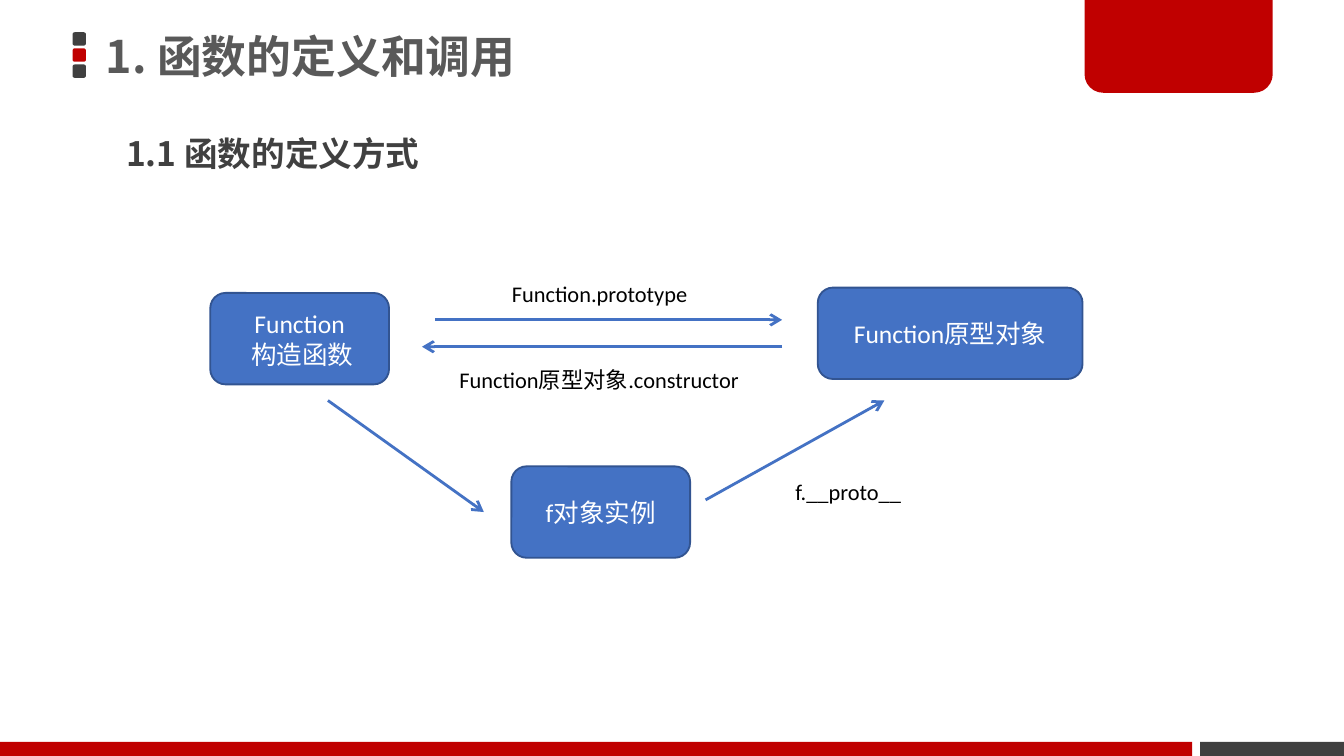
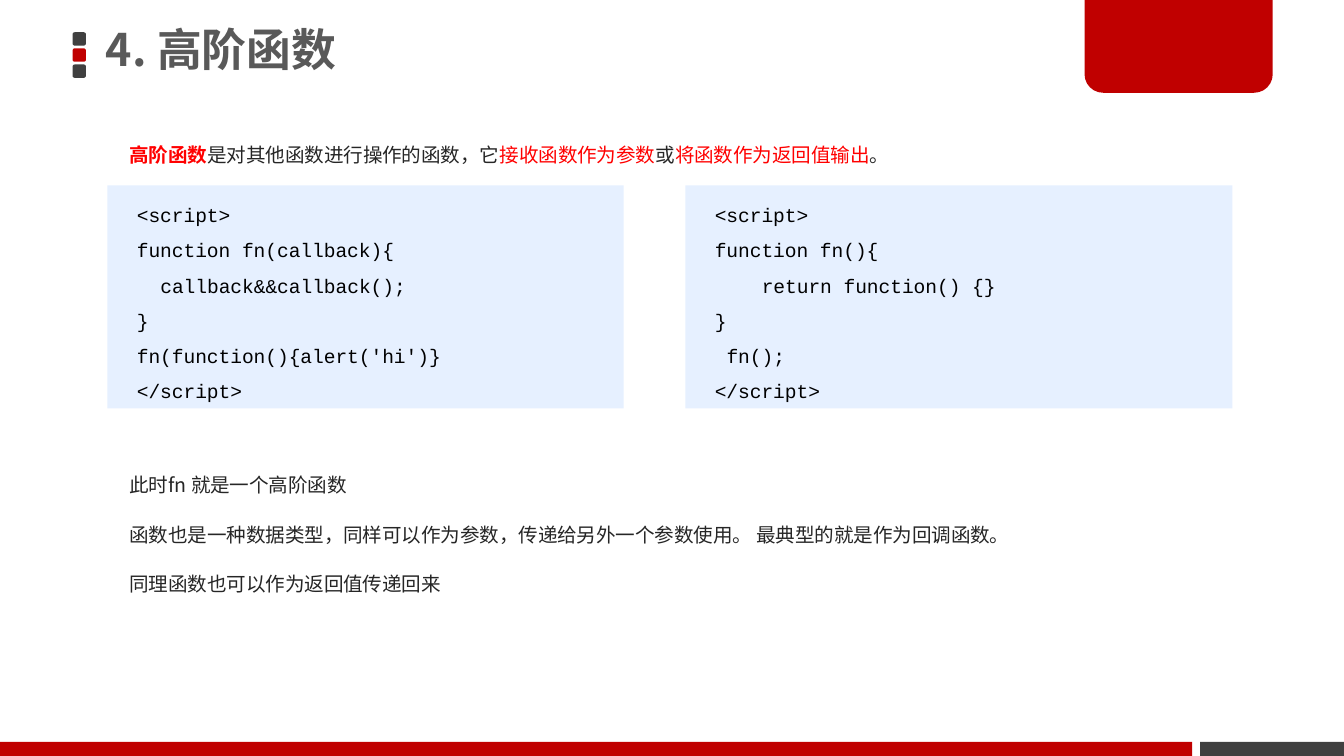
"""Build two slides on defining functions and on higher-order functions."""
from dataclasses import dataclass
from lxml.etree import SubElement
from pptx import Presentation
from pptx.dml.color import RGBColor
from pptx.enum.shapes import MSO_CONNECTOR, MSO_SHAPE
from pptx.enum.text import MSO_ANCHOR, PP_ALIGN
from pptx.oxml.ns import qn
from pptx.util import Inches, Pt


@dataclass(frozen=True)
class Theme:
    red: str = "C00000"
    dark: str = "404040"
    title: str = "595959"
    body: str = "262626"
    mark: str = "FF0000"
    blue: str = "4472C4"
    edge: str = "325491"
    pale: str = "E6F0FF"
    black: str = "000000"
    white: str = "FFFFFF"
    sans: str = "Noto Sans CJK SC"
    plain: str = "Calibri"
    mono: str = "Courier New"
    head: float = 24
    sub: float = 18
    node: float = 13.7
    label: float = 12
    text: float = 10.5


look = Theme()
deck = Presentation()
deck.slide_width = Inches(10)
deck.slide_height = deck.slide_width * 9 // 16
cell = deck.slide_width / 100


def draw(slide, kind, box, fill):
    """Add a filled preset shape at a box given in grid cells."""
    shape = slide.shapes.add_shape(kind, *[round(n * cell) for n in box])
    shape.shadow.inherit = False
    shape.fill.solid()
    shape.fill.fore_color.rgb = RGBColor.from_string(fill)
    shape.line.fill.background()
    return shape


def write(frame, lines, size, face, color, bold=False, lead=1, gap=0,
          align=PP_ALIGN.LEFT, anchor=MSO_ANCHOR.TOP, wrap=True):
    """Fill a text frame with evenly styled paragraphs."""
    frame.word_wrap, frame.vertical_anchor = wrap, anchor
    for i, line in enumerate(lines):
        para = frame.add_paragraph() if i else frame.paragraphs[0]
        para.text, para.alignment = line, align
        para.line_spacing, para.space_before = lead, Pt(gap)
        para.font.size, para.font.name, para.font.bold = Pt(size), face, bold
        para.font.color.rgb = RGBColor.from_string(color)


slides = []
for title, top in [("1. 函数的定义和调用", 0.6), ("4. 高阶函数", 0.1)]:
    slide = deck.slides.add_slide(deck.slide_layouts[6])
    for i, fill in enumerate([look.dark, look.red, look.dark]):
        draw(slide, MSO_SHAPE.ROUNDED_RECTANGLE, (5.4, 2.4 + 1.2 * i, 1, 1), fill)
    draw(slide, MSO_SHAPE.RECTANGLE, (89.3, 55.2, 10.7, 1.05), look.dark)
    tab = draw(slide, MSO_SHAPE.ROUND_2_SAME_RECTANGLE, (80.7, 0, 14, 6.9), look.red)
    tab.adjustments[0], tab.adjustments[1] = 0, 0.2
    draw(slide, MSO_SHAPE.RECTANGLE, (0, 55.2, 88.7, 1.05), look.red)
    area = slide.shapes.add_textbox(*[round(n * cell) for n in (6.9, top, 73.7, 7.5)])
    write(area.text_frame, [title], look.head, look.sans, look.title,
          bold=True, lead=0.9, anchor=MSO_ANCHOR.MIDDLE)
    slides.append(slide)
chain, order = slides

area = chain.shapes.add_textbox(*[round(n * cell) for n in (8.4, 9.75, 72.1, 5.9)])
write(area.text_frame, ["1.1 函数的定义方式"], look.sub, look.sans, look.dark,
      bold=True, lead=0.9, gap=7.5)

nodes = [
    (15.65, 21.8, 13.3, ["Function", " 构造函数"]),
    (38.05, 34.7, 13.3, ["f对象实例"]),
    (60.85, 21.4, 19.7, ["Function原型对象"]),
]
for left, top, width, lines in nodes:
    node = draw(chain, MSO_SHAPE.ROUNDED_RECTANGLE, (left, top, width, 6.8), look.blue)
    node.line.color.rgb = RGBColor.from_string(look.edge)
    node.line.width = Pt(1)
    write(node.text_frame, lines, look.node, look.plain, look.white,
          align=PP_ALIGN.CENTER, anchor=MSO_ANCHOR.MIDDLE)

links = [
    (24.4, 29.8, 36, 38.1),
    (52.5, 37.2, 65.8, 29.8),
    (32.4, 23.8, 58.2, 23.8),
    (58.2, 25.8, 31.4, 25.8),
]
for ends in links:
    link = chain.shapes.add_connector(
        MSO_CONNECTOR.STRAIGHT, *[round(n * cell) for n in ends])
    link.line.color.rgb = RGBColor.from_string(look.blue)
    link.line.width = Pt(1.5)
    props = link.element.spPr
    SubElement(props.find(qn("a:ln")), qn("a:tailEnd"), type="arrow")
    SubElement(props, qn("a:effectLst"))

labels = [
    (58.2, 35.1, 10, False, "f.__proto__"),
    (37.1, 20.35, 15.2, False, "Function.prototype"),
    (33.2, 26.75, 23, True, "Function原型对象.constructor"),
]
for left, top, width, wrap, words in labels:
    area = chain.shapes.add_textbox(*[round(n * cell) for n in (left, top, width, 3)])
    write(area.text_frame, [words], look.label, look.plain, look.black, wrap=wrap)

area = order.shapes.add_textbox(*[round(n * cell) for n in (8.65, 9.3, 72.3, 5.2)])
write(area.text_frame, [""], look.text, look.sans, look.body, lead=1.5, gap=7.5)
parts = [
    ("高阶函数", look.mark),
    ("是对其他函数进行操作的函数，它", look.body),
    ("接收函数作为参数", look.mark),
    ("或", look.body),
    ("将函数作为返回值输出", look.mark),
    ("。", look.body),
]
for i, (words, color) in enumerate(parts):
    run = area.text_frame.paragraphs[0].add_run()
    run.text, run.font.bold = words, i == 0
    run.font.color.rgb = RGBColor.from_string(color)

notes = [
    "此时fn 就是一个高阶函数",
    "函数也是一种数据类型，同样可以作为参数，传递给另外一个参数使用。 最典型的就是作为回调函数。",
    "同理函数也可以作为返回值传递回来",
]
area = order.shapes.add_textbox(*[round(n * cell) for n in (8.65, 33.85, 72.6, 13.9)])
write(area.text_frame, notes, look.text, look.sans, look.body, lead=1.5, gap=7.5)

codes = [
    (8, 38.4, [(0, "<script>"), (0, "function fn(callback){"),
               (2, "callback&&callback();"), (0, "}"),
               (0, "fn(function(){alert('hi')}"), (0, "</script>")]),
    (51, 40.7, [(0, "<script>"), (0, "function fn(){"),
                (4, "return function() {}"), (0, "}"),
                (1, "fn();"), (0, "</script>")]),
]
for left, width, lines in codes:
    panel = draw(order, MSO_SHAPE.RECTANGLE, (left, 13.8, width, 16.6), look.pale)
    write(panel.text_frame, [line for _, line in lines], look.text, look.mono,
          look.black, lead=1.5, anchor=MSO_ANCHOR.MIDDLE)
    for para, (depth, _) in zip(panel.text_frame.paragraphs, lines):
        inset = round(1.2 * cell + depth * 0.6 * Pt(look.text))
        props = para._p.get_or_add_pPr()
        props.set("marL", str(inset))
        props.set("indent", "0")

deck.save("out.pptx")
